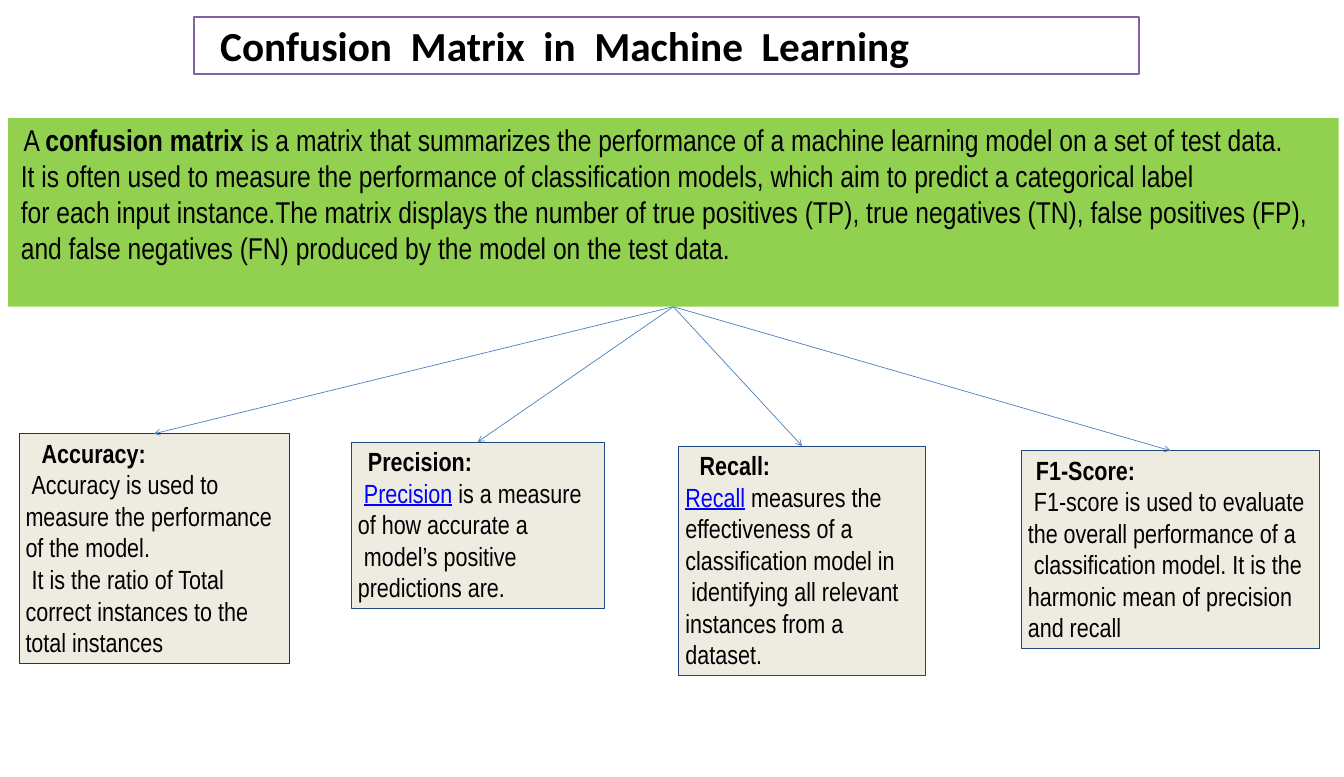
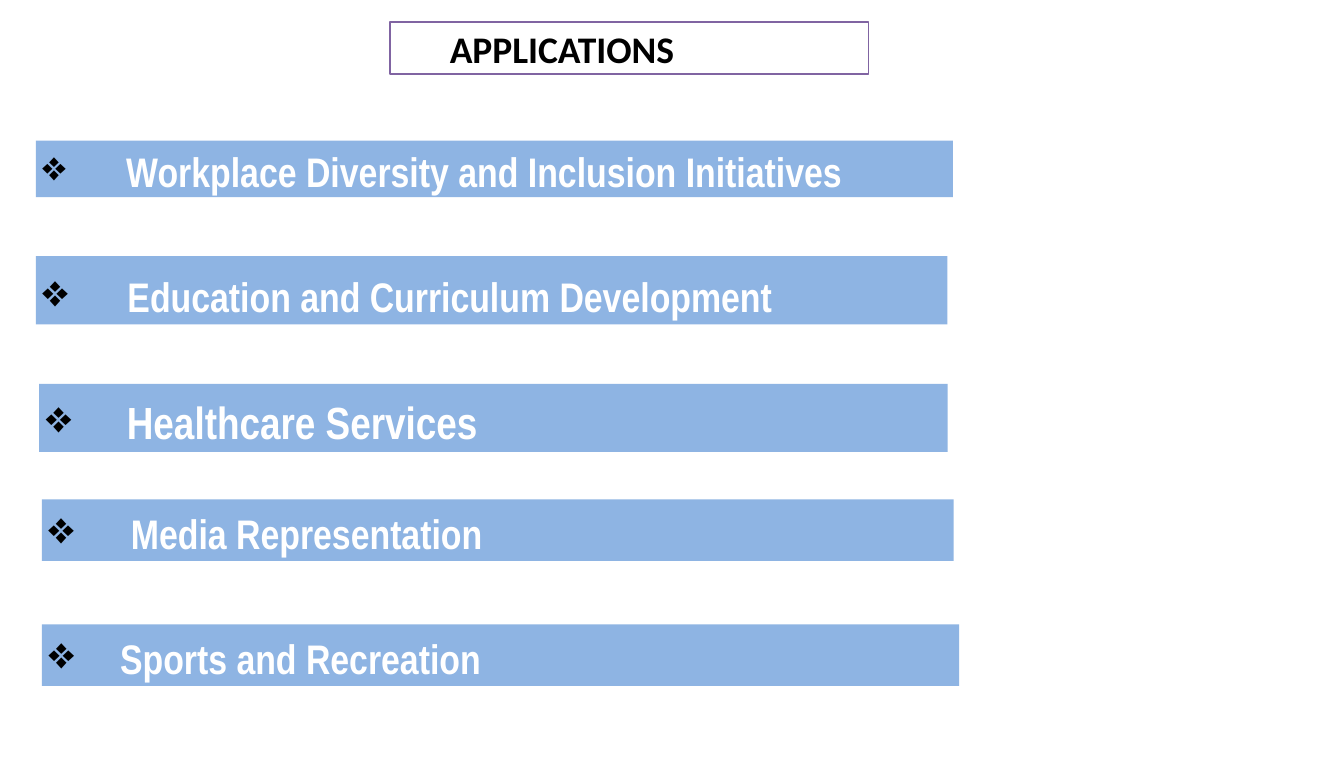
from dataclasses import dataclass
from typing import Any, NamedTuple

from lxml.etree import SubElement
from pptx import Presentation
from pptx.dml.color import RGBColor
from pptx.enum.shapes import MSO_CONNECTOR, MSO_SHAPE
from pptx.enum.text import MSO_ANCHOR, MSO_AUTO_SIZE, PP_ALIGN
from pptx.oxml.ns import qn
from pptx.util import Inches, Pt


@dataclass(frozen=True)
class Theme:
    white: str = "FFFFFF"
    black: str = "000000"
    frame: str = "8064A2"
    green: str = "92D050"
    cream: str = "EEECE1"
    navy: str = "1F497D"
    deep: str = "17375E"
    arrow: str = "4B7EBC"
    link: str = "0000FF"
    sky: str = "8EB4E3"
    head: str = "Calibri"
    body: str = "Arial Narrow"
    intro: int = 32
    card: int = 28
    thick: float = 2
    thin: float = 0.75


class Grid(NamedTuple):
    cols: int
    rows: int
    cell: int


class Box(NamedTuple):
    col: float
    row: float
    wide: float
    high: float


class Span(NamedTuple):
    text: str
    bold: bool = False
    link: bool = False


class Para(NamedTuple):
    spans: tuple[Span, ...]
    indent: float = 0.9


class Card(NamedTuple):
    box: Box
    edge: str
    paras: tuple[Para, ...]


class Strip(NamedTuple):
    box: Box
    text: str
    size: int
    mark: int
    indent: float
    drop: float


THEME = Theme()
GRID = Grid(199, 115, Inches(0.1))


def cells(count: float) -> int:
    return round(count * GRID.cell)


def assign(item: Any, values: dict[str, Any]) -> None:
    for name, value in values.items():
        setattr(item, name, value)


def place(item: Any, box: Box) -> None:
    assign(item, dict(zip(("left", "top", "width", "height"), map(cells, box))))


def paint(item: Any, fill: str, edge: str = "", weight: float = 0) -> None:
    item.fill.solid()
    item.fill.fore_color.rgb = RGBColor.from_string(fill)
    if edge:
        item.line.color.rgb = RGBColor.from_string(edge)
        item.line.width = Pt(weight)
    else:
        item.line.fill.background()


def frame(item: Any, anchor: MSO_ANCHOR) -> Any:
    text = item.text_frame
    assign(text, {
        "word_wrap": True,
        "auto_size": MSO_AUTO_SIZE.NONE,
        "vertical_anchor": anchor,
        "margin_left": cells(1),
        "margin_right": cells(1),
        "margin_top": cells(0.5),
        "margin_bottom": cells(0.5),
    })
    return text


def shift(para: Any, left: float, first: float) -> Any:
    para.alignment = PP_ALIGN.LEFT
    props = para._p.get_or_add_pPr()
    props.set("marL", str(cells(left)))
    props.set("indent", str(cells(first)))
    return props


def write(para: Any, text: str, color: str, **style: Any) -> None:
    run = para.add_run()
    run.text = text
    assign(run.font, style)
    run.font.color.rgb = RGBColor.from_string(color)


def panel(slide: Any, box: Box, fill: str, edge: str = "") -> Any:
    item = slide.shapes.add_shape(MSO_SHAPE.RECTANGLE, *map(cells, box))
    item.shadow.inherit = False
    paint(item, fill, edge, THEME.thin)
    return item


def titled(deck: Any, text: str, box: Box, size: int, indent: float) -> Any:
    slide = deck.slides.add_slide(deck.slide_layouts.get_by_name("Title Only"))
    title = slide.shapes.title
    place(title, box)
    paint(title, THEME.white, THEME.frame, THEME.thick)
    para = frame(title, MSO_ANCHOR.MIDDLE).paragraphs[0]
    shift(para, indent, 0)
    write(para, text, THEME.black, name=THEME.head, size=Pt(size), bold=True)
    return slide


def fill(item: Any, paras: tuple[Para, ...], size: int) -> None:
    text = frame(item, MSO_ANCHOR.TOP)
    for index, part in enumerate(paras):
        para = text.add_paragraph() if index else text.paragraphs[0]
        shift(para, 0, part.indent)
        for span in part.spans:
            write(para, span.text, THEME.link if span.link else THEME.black,
                  name=THEME.body, size=Pt(size), bold=span.bold,
                  underline=span.link)


def join(slide: Any, start: Any, end: Any) -> None:
    wire = slide.shapes.add_connector(MSO_CONNECTOR.STRAIGHT, 0, 0, 0, 0)
    wire.begin_connect(start, 2)
    wire.end_connect(end, 0)
    wire.line.color.rgb = RGBColor.from_string(THEME.arrow)
    wire.line.width = Pt(THEME.thin)
    props = wire._element.spPr
    SubElement(props.find(qn("a:ln")), qn("a:tailEnd"), type="arrow")
    SubElement(props, qn("a:effectLst"))


def draw(slide: Any, strip: Strip) -> None:
    item = panel(slide, strip.box, THEME.sky)
    text = frame(item, MSO_ANCHOR.MIDDLE)
    text.margin_top = cells(0.5 + strip.drop)
    para = text.paragraphs[0]
    props = shift(para, strip.indent, -strip.indent)
    color = SubElement(props, qn("a:buClr"))
    SubElement(color, qn("a:srgbClr"), val=THEME.black)
    ratio = round(100000 * strip.mark / strip.size)
    SubElement(props, qn("a:buSzPct"), val=str(ratio))
    SubElement(props, qn("a:buChar"), char="❖")
    write(para, strip.text, THEME.white, name=THEME.body,
          size=Pt(strip.size), bold=True)


def header(text: str, indent: float) -> Para:
    return Para((Span(text, bold=True),), indent)


def plain(text: str, indent: float = 0.9) -> Para:
    return Para((Span(text),), indent)


INTRO = (
    Para((Span("A "), Span("confusion matrix", bold=True),
          Span(" is a matrix that summarizes the performance of a machine "
               "learning model on a set of test data.")), 1.3),
    plain("It is often used to measure the performance of classification "
          "models, which aim to predict a categorical label"),
    plain("for each input instance.The matrix displays the number of true "
          "positives (TP), true negatives (TN), false positives (FP),"),
    plain("and false negatives (FN) produced by the model on the test data."),
)

CARDS = (
    Card(Box(2.8, 64.2, 40, 34), THEME.deep, (
        header("Accuracy:", 2.4),
        plain("Accuracy is used to measure the performance of the model."),
        plain("It is the ratio of Total correct instances to the total "
              "instances"),
    )),
    Card(Box(52, 65.4, 37.5, 24.6), THEME.navy, (
        header("Precision:", 1.5),
        Para((Span("Precision", link=True),
              Span(" is a measure of how accurate a"))),
        plain("model’s positive predictions are."),
    )),
    Card(Box(100.5, 66, 36.5, 34), THEME.navy, (
        header("Recall:", 2.1),
        Para((Span("Recall", link=True),
              Span(" measures the effectiveness of a classification model "
                   "in")), 0),
        plain("identifying all relevant instances from a dataset."),
    )),
    Card(Box(151.2, 66.7, 44.2, 29.3), THEME.navy, (
        header("F1-Score:", 1.2),
        plain("F1-score is used to evaluate the overall performance of a"),
        plain("classification model. It is the harmonic mean of precision "
              "and recall"),
    )),
)

STRIPS = (
    Strip(Box(5.3, 20.8, 135.8, 8.4),
          "Workplace Diversity and Inclusion Initiatives", 44, 44, 12.4, 0.5),
    Strip(Box(5.3, 37.9, 135, 10.1),
          "Education and Curriculum Development", 44, 48, 12.6, 1.7),
    Strip(Box(5.8, 56.8, 134.5, 10.1), "Healthcare Services", 48, 48, 12, 1.2),
    Strip(Box(6.2, 73.9, 135, 9.1), "Media Representation", 44, 48, 12.2, 0.8),
    Strip(Box(6.2, 92.4, 135.8, 9.1),
          "Sports and Recreation", 44, 48, 10.6, 0.8),
)


def matrix(deck: Any) -> None:
    slide = titled(deck, "Confusion  Matrix  in  Machine  Learning",
                   Box(28.7, 2.5, 140, 8.4), 44, 2.9)
    intro = panel(slide, Box(1.2, 17.5, 197, 27.9), THEME.green)
    fill(intro, INTRO, THEME.intro)
    for card in CARDS:
        item = panel(slide, card.box, THEME.cream, card.edge)
        fill(item, card.paras, THEME.card)
        join(slide, intro, item)


def uses(deck: Any) -> None:
    slide = titled(deck, "APPLICATIONS", Box(57.8, 3.3, 70.8, 7.7), 40, 7.8)
    for strip in STRIPS:
        draw(slide, strip)


def main() -> None:
    deck = Presentation()
    assign(deck, {"slide_width": cells(GRID.cols),
                  "slide_height": cells(GRID.rows)})
    matrix(deck)
    uses(deck)
    deck.save("out.pptx")


if __name__ == "__main__":
    main()
